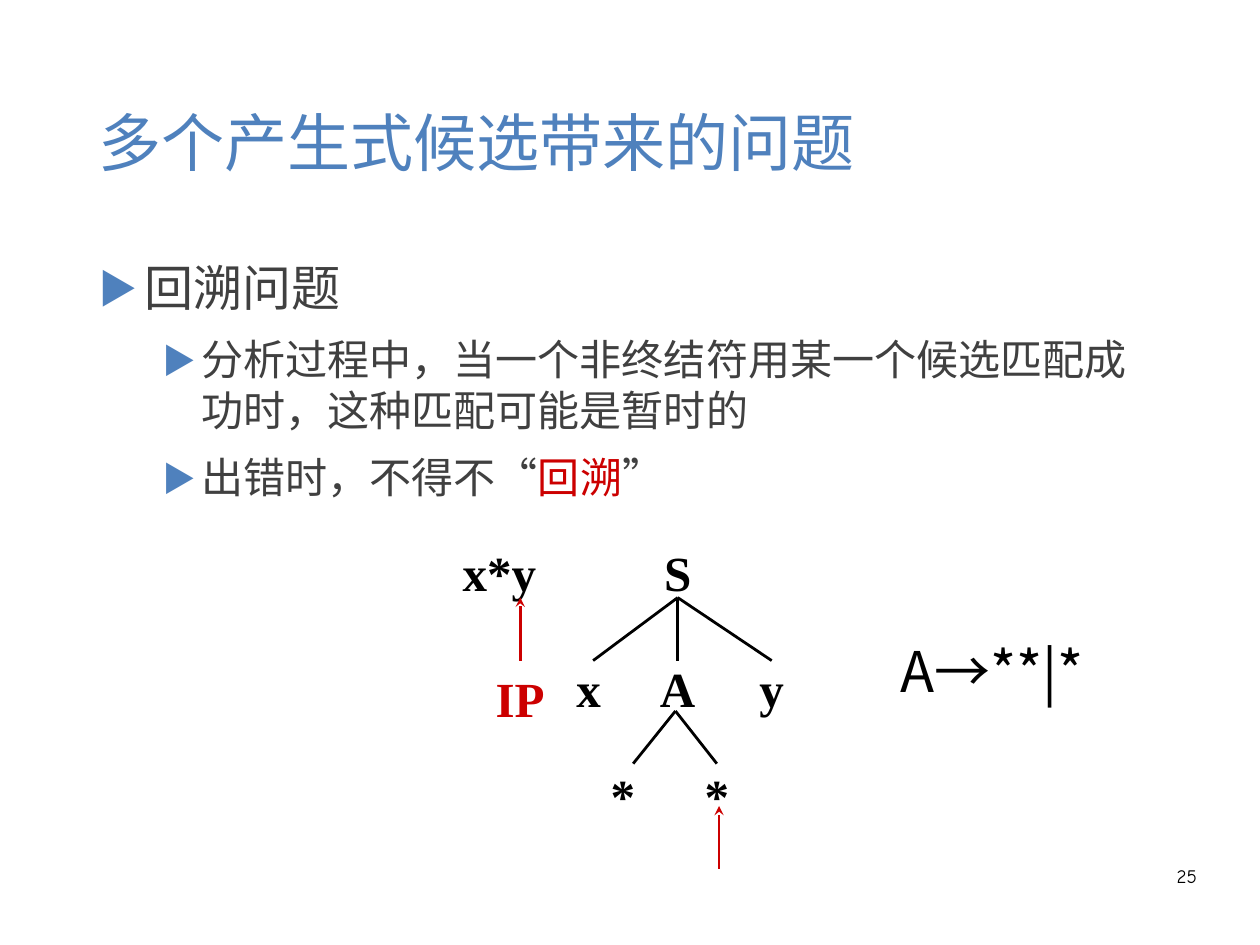
from pptx import Presentation
from pptx.dml.color import RGBColor
from pptx.enum.shapes import MSO_CONNECTOR as Connector
from pptx.enum.text import MSO_ANCHOR as Anchor, PP_ALIGN as Align
from pptx.oxml.ns import qn
from pptx.util import Cm, Pt
from lxml.etree import SubElement

SANS, SERIF, NUMBER = "Noto Sans CJK SC", "Times New Roman", "Comic Neue"
BLUE, GREY, RED, BLACK = "4F81BD", "404040", "CC0000", "000000"


def color(value):
    return RGBColor.from_string(value)


class TreeSlide:
    """Draws styled text, bullets, tree labels and lines on one slide."""

    def __init__(self, slide):
        self.slide = slide

    def style(self, paragraph, size, font_name, fill, bold=False):
        font = paragraph.font
        font.size, font.name, font.bold = Pt(size), font_name, bold
        font.color.rgb = color(fill)
        properties = paragraph._p.get_or_add_pPr().find(qn("a:defRPr"))
        SubElement(properties, qn("a:ea"), typeface=font_name)

    def frame(self, left, top, width, height, anchor=Anchor.TOP, wrap=True):
        shape = self.slide.shapes.add_textbox(Cm(left), Cm(top), Cm(width), Cm(height))
        frame = shape.text_frame
        frame.word_wrap, frame.vertical_anchor = wrap, anchor
        return frame

    def text(self, frame, words, size, font_name, fill, bold=False, align=Align.LEFT):
        paragraph = frame.paragraphs[0]
        paragraph.text, paragraph.alignment = words, align
        self.style(paragraph, size, font_name, fill, bold)
        return paragraph

    def bullet(self, paragraph, runs, size, margin, hanging):
        properties = paragraph._p.get_or_add_pPr()
        properties.set("marL", str(Cm(margin)))
        properties.set("indent", str(-Cm(hanging)))
        bullet_color = SubElement(properties, qn("a:buClr"))
        SubElement(bullet_color, qn("a:srgbClr"), val=BLUE)
        SubElement(properties, qn("a:buSzPct"), val="80000")
        SubElement(properties, qn("a:buFont"), typeface=SANS)
        SubElement(properties, qn("a:buChar"), char="▶")
        self.style(paragraph, size, SANS, GREY)
        for words, fill in runs:
            run = paragraph.add_run()
            run.text = words
            if fill != GREY:
                run.font.color.rgb = color(fill)

    def label(self, words, x, y, fill=BLACK):
        width, height = 2.34, 1.4
        frame = self.frame(x - width / 2, y - height / 2, width, height, Anchor.MIDDLE, False)
        self.text(frame, words, 30.9, SERIF, fill, True, Align.CENTER)

    def line(self, start, end, fill=BLACK, arrow=False):
        connector = self.slide.shapes.add_connector(
            Connector.STRAIGHT, *map(Cm, start), *map(Cm, end))
        connector.line.color.rgb = color(fill)
        connector.line.width = Pt(1.75)
        if arrow:
            SubElement(connector.line._get_or_add_ln(), qn("a:tailEnd"), type="stealth")
        SubElement(connector._element.spPr, qn("a:effectLst"))


def main():
    presentation = Presentation()
    presentation.slide_width, presentation.slide_height = Cm(28), Cm(21)
    tree = TreeSlide(presentation.slides.add_slide(presentation.slide_layouts[6]))

    title = tree.frame(1.93, 1.12, 24.16, 4.06, Anchor.MIDDLE)
    tree.text(title, "多个产生式候选带来的问题", 39.7, SANS, BLUE)

    body = tree.frame(1.93, 5.59, 24.16, 13.34)
    tree.bullet(body.paragraphs[0], [("回溯问题", GREY)], 30.9, 1.04, 1.04)
    for runs in (
        [("分析过程中，当一个非终结符用某一个候选匹配成功时，这种匹配可能是暂时的", GREY)],
        [("出错时，不得不“", GREY), ("回溯", RED), ("”", GREY)],
    ):
        paragraph = body.add_paragraph()
        paragraph.level, paragraph.space_before = 1, Pt(11)
        tree.bullet(paragraph, runs, 26.5, 2.29, 0.86)

    formula = tree.frame(19.76, 14.02, 4.7, 1.75, wrap=False)
    tree.text(formula, "A→**|*", 35.3, SANS, BLACK)

    for words, x, y in (
        ("S", 15.06, 12.7), ("x*y", 11.1, 12.7),
        ("x", 13.08, 15.28), ("A", 15.06, 15.28), ("y", 17.15, 15.28),
        ("*", 13.84, 17.67), ("*", 15.93, 17.67),
    ):
        tree.label(words, x, y)
    tree.label("IP", 11.56, 15.51, RED)

    for parent, child_y, children in (
        ((15.06, 13.28), 14.68, (13.18, 15.06, 17.15)),
        ((15.01, 15.8), 16.97, (14.07, 15.93)),
    ):
        for child_x in children:
            tree.line(parent, (child_x, child_y))
    for x, tip in ((11.56, 13.28), (15.98, 17.91)):
        tree.line((x, tip + 1.4), (x, tip), RED, arrow=True)

    number = tree.frame(20.07, 19.13, 6.53, 1.45)
    number.margin_left = number.margin_right = number.margin_top = number.margin_bottom = 0
    paragraph = tree.text(number, "25", 12, NUMBER, BLACK, align=Align.RIGHT)
    paragraph.line_spacing = 1.16

    presentation.save("out.pptx")


if __name__ == "__main__":
    main()
